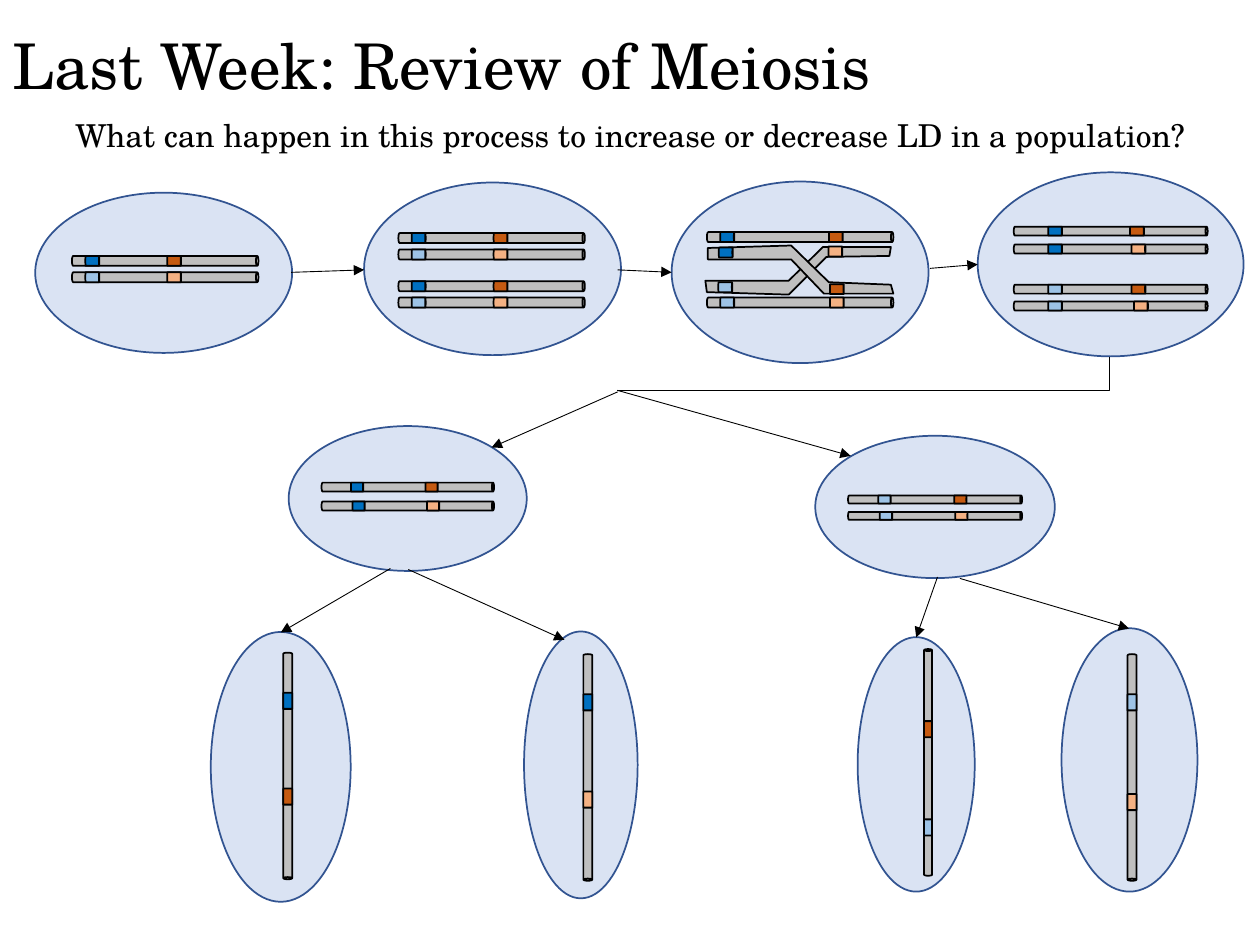
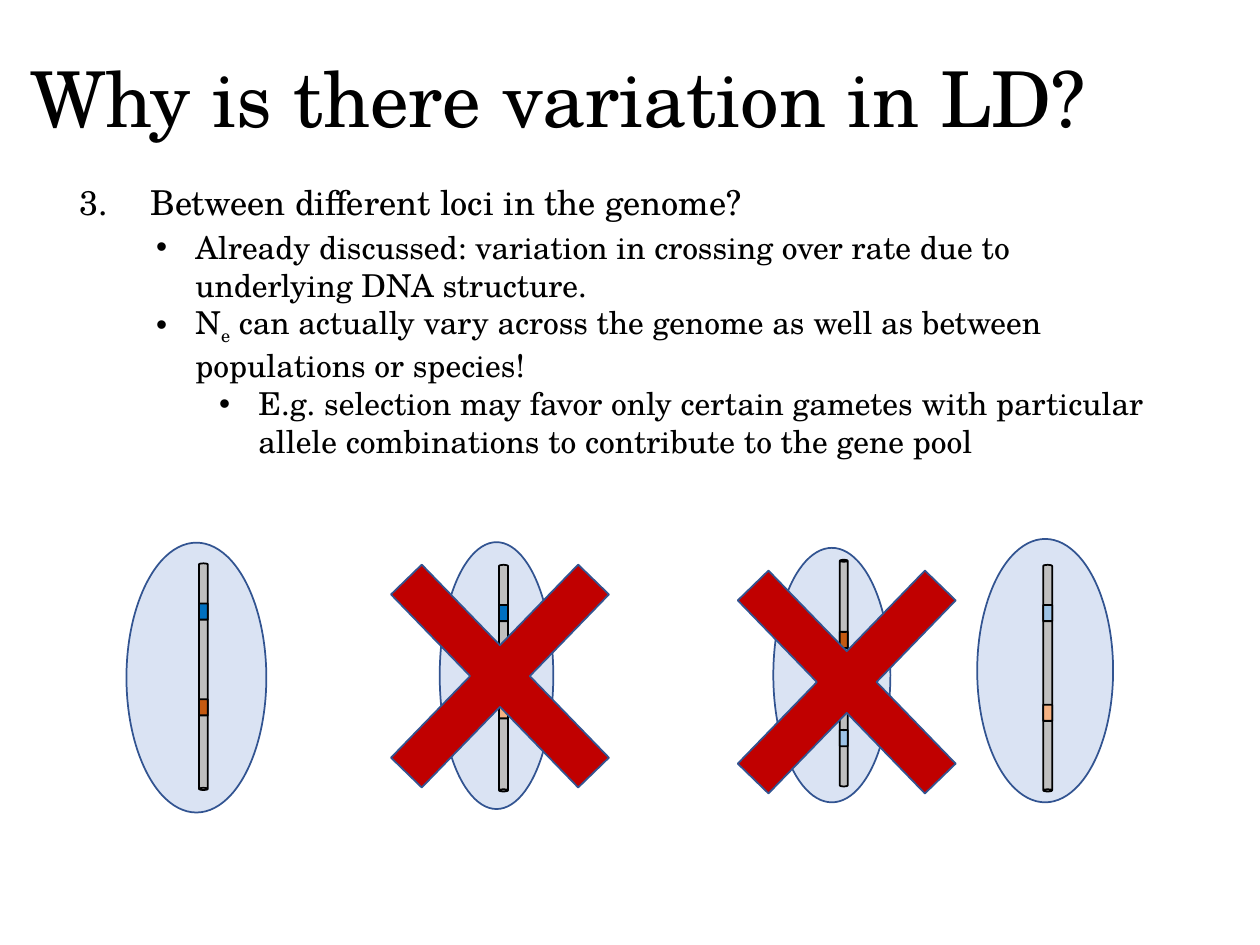
import dataclasses

import lxml.etree
import pptx
import pptx.dml.color
import pptx.enum.shapes
import pptx.enum.text
import pptx.oxml.ns
import pptx.util

Cm = pptx.util.Cm
Pt = pptx.util.Pt
qn = pptx.oxml.ns.qn
PRESET = pptx.enum.shapes.MSO_SHAPE
CONNECTOR = pptx.enum.shapes.MSO_CONNECTOR


@dataclasses.dataclass(frozen=True)
class Theme:
    font: str = "TeX Gyre Schola"
    ink: str = "000000"
    cell: str = "DAE3F3"
    cell_line: str = "325491"
    chromosome: str = "BFBFBF"
    cross: str = "C00000"
    review_title: float = 36
    variation_title: float = 44
    list_heading: float = 19.6
    text: float = 18
    outline: float = 1
    arrow: float = 0.5


theme = Theme()
allele_colors = {"A": "0070C0", "a": "9DC3E6", "B": "C55A11", "b": "F4B183"}


def add_text(frame, text, size=theme.text, line_spacing=1.0, margin=0, hanging=0, level=0, bullet=None):
    frame.word_wrap = True
    frame.auto_size = pptx.enum.text.MSO_AUTO_SIZE.NONE
    paragraph = frame.add_paragraph() if frame.text else frame.paragraphs[0]
    properties = paragraph._p.get_or_add_pPr()
    properties.set("marL", str(Cm(margin)))
    properties.set("indent", str(-Cm(hanging)))
    if bullet == "•":
        lxml.etree.SubElement(properties, qn("a:buFont")).set("typeface", "Arial")
        lxml.etree.SubElement(properties, qn("a:buChar")).set("char", bullet)
    elif bullet:
        number = lxml.etree.SubElement(properties, qn("a:buAutoNum"))
        number.set("type", "arabicPeriod")
        number.set("startAt", str(bullet))
    paragraph.level = level
    paragraph.alignment = pptx.enum.text.PP_ALIGN.LEFT
    paragraph.line_spacing = line_spacing
    paragraph.space_before = Pt(0)
    for index, part in enumerate(text.split("|")):
        run = paragraph.add_run()
        run.text = part
        run.font.name = theme.font
        run.font.size = Pt(size)
        run.font.color.rgb = pptx.dml.color.RGBColor.from_string(theme.ink)
        if index % 2:
            run._r.get_or_add_rPr().set("baseline", "-25000")


def draw_part(shapes, preset, center, size, fill, line=theme.ink, rotation=0, adjustment=None, outline=()):
    if outline:
        points = [(Cm(x), Cm(y)) for x, y in outline]
        builder = shapes.build_freeform(*points[0])
        builder.add_line_segments(points[1:], close=True)
        shape = builder.convert_to_shape()
    else:
        (x, y), (width, height) = center, size
        shape = shapes.add_shape(preset, Cm(x - width / 2), Cm(y - height / 2), Cm(width), Cm(height))
        shape.rotation = rotation
    if adjustment is not None:
        shape.adjustments[0] = adjustment
    shape.shadow.inherit = False
    shape.fill.solid()
    shape.fill.fore_color.rgb = pptx.dml.color.RGBColor.from_string(fill)
    shape.line.color.rgb = pptx.dml.color.RGBColor.from_string(line)
    shape.line.width = Pt(theme.outline)


presentation = pptx.Presentation()
presentation.slide_width = Cm(25.4)
presentation.slide_height = Cm(19.05)
review_slide = presentation.slides.add_slide(presentation.slide_layouts[5])
variation_slide = presentation.slides.add_slide(presentation.slide_layouts[1])

titles = [
    (review_slide, "Last Week: Review of Meiosis", theme.review_title, (0, 0.03, 23.47, 2.74)),
    (variation_slide, "Why is there variation in LD?", theme.variation_title, (0.36, 0.23, 21.89, 3.68)),
]
for slide, text, size, box in titles:
    title = slide.shapes.title
    title.left, title.top, title.width, title.height = map(Cm, box)
    title.text_frame.vertical_anchor = pptx.enum.text.MSO_ANCHOR.MIDDLE
    add_text(title.text_frame, text, size=size, line_spacing=0.9)

question = review_slide.shapes.add_textbox(Cm(1.27), Cm(2.21), Cm(23.06), Cm(1.02))
add_text(question.text_frame, "What can happen in this process to increase or decrease LD in a population?")

heading = variation_slide.placeholders[1]
heading.left, heading.top, heading.width, heading.height = map(Cm, (1.35, 2.87, 21.89, 1.9))
add_text(heading.text_frame, "Between different loci in the genome?", size=theme.list_heading,
         line_spacing=1.8, margin=1.43, hanging=1.43, bullet=3)

reasons = variation_slide.shapes.add_textbox(Cm(2.9), Cm(4.47), Cm(20.6), Cm(4.88))
for level, text in [
    (0, "Already discussed: variation in crossing over rate due to underlying DNA structure."),
    (0, "N|e| can actually vary across the genome as well as between populations or species!"),
    (1, "E.g. selection may favor only certain gametes with particular allele combinations "
        "to contribute to the gene pool"),
]:
    add_text(reasons.text_frame, text, margin=0.79 + 1.27 * level, hanging=0.79, level=level, bullet="•")

wide_pair = (("A", -1.47), ("B", 0.18)), (("a", -1.47), ("b", 0.18))
dividing_cells = [
    ((3.3, 5.5), (5.18, 3.23), 90, (0.2, 3.76), 0.28, 3.33,
     list(zip((5.26, 5.59), wide_pair))),
    ((9.93, 5.42), (5.18, 3.48), 90, (0.2, 3.76), 0.28, 9.91,
     list(zip((4.8, 5.13, 5.77, 6.1), wide_pair * 2))),
    ((16.13, 5.49), (5.18, 3.66), 90, (0.2, 3.76), 0.28, 16.13,
     [(4.78, (("A", -1.47), ("B", 0.72))), (6.1, (("a", -1.47), ("b", 0.74)))]),
    ((22.39, 5.33), (5.36, 3.71), 90, (0.18, 3.91), 0.28, 22.39,
     [(4.66, (("A", -1.12), ("B", 0.53))), (5.02, (("A", -1.12), ("b", 0.56))),
      (5.83, (("a", -1.12), ("B", 0.56))), (6.17, (("a", -1.12), ("b", 0.61)))]),
    ((8.22, 10.05), (4.8, 2.92), 90, (0.18, 3.48), 0.25, 8.22,
     [(9.82, (("A", -1.02), ("B", 0.48))), (10.2, (("A", -0.99), ("b", 0.51)))]),
    ((18.85, 10.22), (4.83, 2.87), 90, (0.16, 3.51), 0.25, 18.85,
     [(10.07, (("a", -1.02), ("B", 0.51))), (10.4, (("a", -0.99), ("b", 0.53)))]),
]
gametes = [
    ((5.66, 15.46), (2.82, 5.44), 180, (0.18, 4.57), 0.33, 5.8,
     [(15.44, (("A", -1.31), ("B", 0.62)))]),
    ((11.71, 15.42), (2.29, 5.38), 180, (0.18, 4.57), 0.33, 11.85,
     [(15.47, (("A", -1.31), ("b", 0.65)))]),
    ((18.47, 15.41), (2.36, 5.13), 0, (0.16, 4.57), 0.33, 18.71,
     [(15.37, (("a", 1.31), ("B", -0.67)))]),
    ((22.77, 15.32), (2.74, 5.31), 180, (0.18, 4.57), 0.33, 22.82,
     [(15.47, (("a", -1.31), ("b", 0.7)))]),
]
crossing_cell = dividing_cells[2]
crossing_chromatids = [
    [(14.22, 5.66), (15.9, 5.66), (16.59, 4.98), (17.96, 4.98),
     (17.93, 5.16), (16.66, 5.18), (15.9, 5.94), (14.25, 5.89)],
    [(14.27, 5.23), (15.95, 5.23), (16.61, 5.92), (18.01, 5.92),
     (17.96, 5.74), (16.71, 5.69), (15.95, 4.95), (14.27, 5.0)],
]
crossing_loci = [("a", 14.62, 5.79), ("b", 16.84, 5.07), ("A", 14.63, 5.09), ("B", 16.87, 5.83)]

for slide, cells, shift_x, shift_y in [
    (review_slide, dividing_cells + gametes, 0, 0),
    (variation_slide, gametes, -1.7, -1.8),
]:
    for cell in cells:
        (x, y), size, rotation, rod, locus_length, rod_x, chromosomes = cell
        parts = slide.shapes.add_group_shape().shapes
        draw_part(parts, PRESET.OVAL, (x + shift_x, y + shift_y), size, theme.cell, line=theme.cell_line)
        locus_size = (rod[0], locus_length)
        for rod_y, loci in chromosomes:
            center_x, center_y = rod_x + shift_x, rod_y + shift_y
            draw_part(parts, PRESET.CAN, (center_x, center_y), rod, theme.chromosome, rotation=rotation)
            for allele, offset in loci:
                center = (center_x + offset, center_y) if rotation == 90 else (center_x, center_y + offset)
                draw_part(parts, PRESET.CAN, center, locus_size, allele_colors[allele],
                          rotation=rotation, adjustment=0.036)
        if cell is crossing_cell:
            for outline in crossing_chromatids:
                draw_part(parts, None, None, None, theme.chromosome, outline=outline)
            for allele, locus_x, locus_y in crossing_loci:
                draw_part(parts, PRESET.CAN, (locus_x, locus_y), locus_size, allele_colors[allele],
                          rotation=rotation, adjustment=0.036)

for kind, *ends in [
    (CONNECTOR.STRAIGHT, 5.87, 5.49, 7.34, 5.44),
    (CONNECTOR.STRAIGHT, 12.45, 5.44, 13.54, 5.49),
    (CONNECTOR.STRAIGHT, 18.75, 5.41, 19.71, 5.33),
    (CONNECTOR.ELBOW, 17.07, 2.57, 17.75, 12.5),
    (CONNECTOR.STRAIGHT, 12.45, 7.9, 9.91, 9.02),
    (CONNECTOR.STRAIGHT, 12.45, 7.87, 17.15, 9.19),
    (CONNECTOR.STRAIGHT, 7.87, 11.46, 5.66, 12.75),
    (CONNECTOR.STRAIGHT, 8.23, 11.48, 11.38, 12.9),
    (CONNECTOR.STRAIGHT, 18.9, 11.63, 18.47, 12.85),
    (CONNECTOR.STRAIGHT, 19.35, 11.66, 22.76, 12.67),
]:
    connector = review_slide.shapes.add_connector(kind, *map(Cm, ends))
    connector.line.color.rgb = pptx.dml.color.RGBColor.from_string(theme.ink)
    connector.line.width = Pt(theme.arrow)
    properties = connector._element.spPr
    if kind == CONNECTOR.ELBOW:
        connector.rotation = 90
        properties.find(qn("a:prstGeom")).set("prst", "bentConnector2")
    else:
        lxml.etree.SubElement(properties.find(qn("a:ln")), qn("a:tailEnd")).set("type", "triangle")
    lxml.etree.SubElement(properties, qn("a:effectLst"))

for center in [(10.08, 13.63), (17.07, 13.75)]:
    draw_part(variation_slide.shapes, PRESET.MATH_MULTIPLY, center, (7.26, 7.49), theme.cross,
              line=theme.cell_line, adjustment=0.119)

presentation.save("out.pptx")
